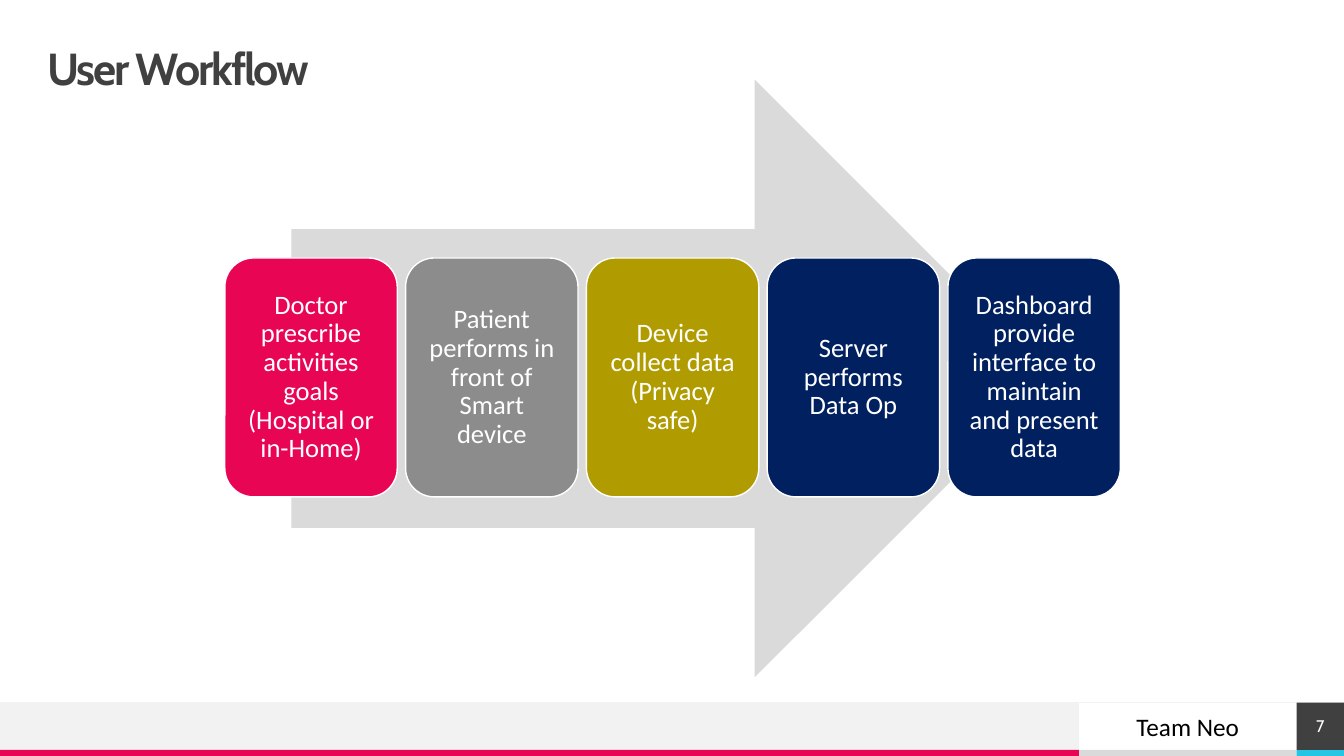
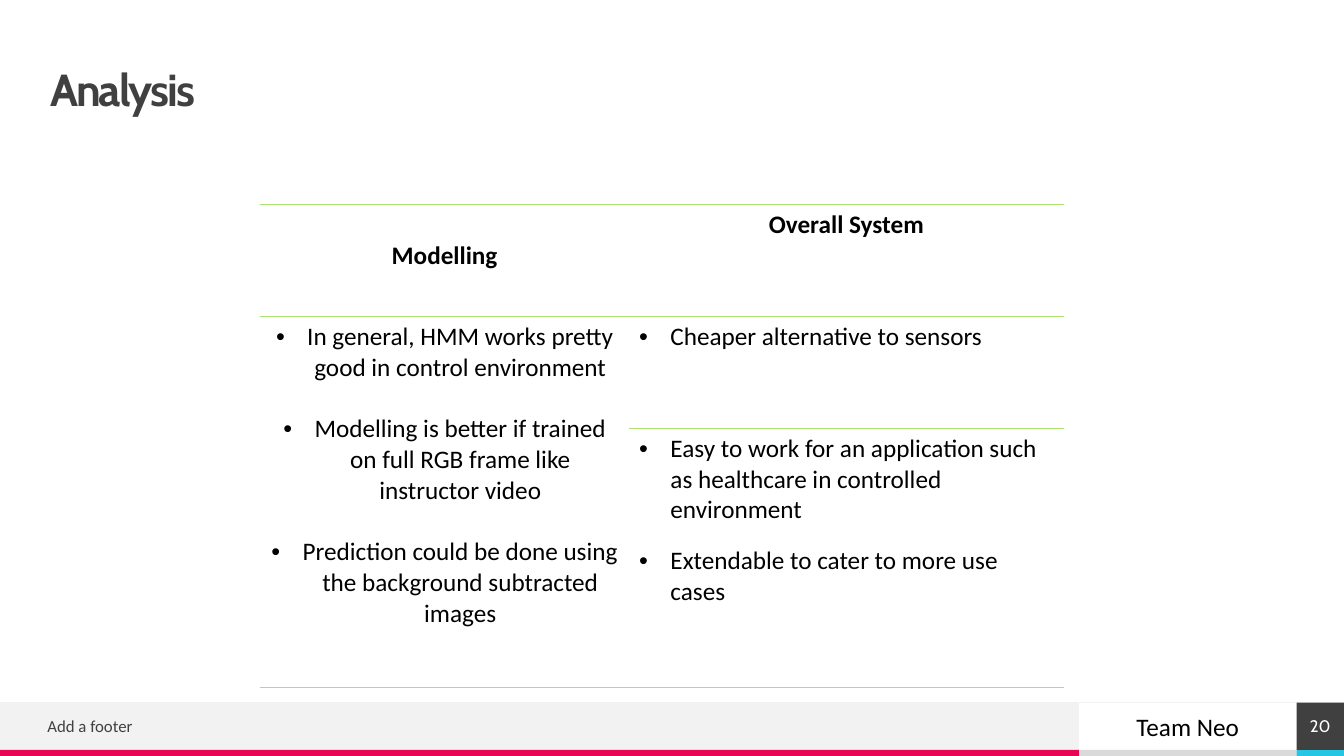
from lxml.etree import SubElement
from pptx import Presentation
from pptx.dml.color import RGBColor
from pptx.enum.shapes import MSO_CONNECTOR, MSO_SHAPE
from pptx.enum.text import MSO_ANCHOR, PP_ALIGN
from pptx.oxml import parse_xml
from pptx.oxml.ns import nsdecls, qn
from pptx.util import Inches, Pt

COLORS = {
    "white": "FFFFFF", "black": "000000", "dark": "404040", "band": "F2F2F2",
    "silver": "DADADA", "pink": "E80554", "cyan": "25C6E3", "grey": "8C8C8C",
    "olive": "B09C00", "navy": "002060", "rule": "A9E26F",
}
BODY_FONT, HEAD_FONT = "Calibri", "Cabin"

TEAM = "Team Neo"
WORKFLOW = {"title": "User Workflow", "title_at": (0.47, 0.47), "number": "7"}
STAGES = [
    ("Doctor prescribe activities goals (Hospital or in-Home)", "pink"),
    ("Patient performs in front of Smart device", "grey"),
    ("Device collect data (Privacy safe)", "olive"),
    ("Server performs Data Op", "navy"),
    ("Dashboard provide interface to maintain and present data", "navy"),
]
ANALYSIS = {"title": "Analysis", "title_at": (0.5, 0.68), "number": "20",
            "footer": "Add a footer"}
HEADERS = ["Modelling", "Overall System"]
MODELLING = [
    "In general, HMM works pretty good in control environment",
    "Modelling is better if trained on full RGB frame like instructor video",
    "Prediction could be done using the background subtracted images",
]
SYSTEM = [
    "Cheaper alternative to sensors",
    "Easy to work for an application such as healthcare in controlled environment",
    "Extendable to cater to more use cases",
]

WIDTH, HEIGHT = 13.33, 7.5
UNIT = 0.47                     # margin, band height and number square
STRIP = 0.06
BAND_TOP = HEIGHT - STRIP - UNIT
BAND_END = 10.7
NUMBER_LEFT = WIDTH - UNIT
STAGE = {"left": 2.23, "top": 2.56, "width": 1.71, "height": 2.37, "pitch": 1.793}
TABLE_AT = (2.58, 2.03)
COLUMNS = [3.66, 4.31]
ROWS = [1.11, 1.11, 1.11, 1.46]
LINE = 22                       # points, one line of 18 pt body text
INDENT = 0.31


def color(name):
    return RGBColor.from_string(COLORS[name])


def set_margins(target, inches):
    for side in ("left", "right", "top", "bottom"):
        setattr(target, f"margin_{side}", Inches(inches))


def write(para, text, size, font=BODY_FONT, ink="black", bold=False,
          align=PP_ALIGN.LEFT, spacing=1.0):
    para.alignment, para.line_spacing = align, spacing
    span = para.add_run()
    span.text = text
    formats = {"size": Pt(size), "name": font, "bold": bold}
    for name, value in formats.items():
        setattr(span.font, name, value)
    span.font.color.rgb = color(ink)
    return span


def fill_frame(shape, text, size, margin=0, **style):
    frame = shape.text_frame
    frame.word_wrap = True
    frame.vertical_anchor = MSO_ANCHOR.MIDDLE
    set_margins(frame, margin)
    return write(frame.paragraphs[0], text, size, **style)


def add_block(page, left, top, width, height, fill, kind=MSO_SHAPE.RECTANGLE, line=None):
    shape = page.shapes.add_shape(kind, *map(Inches, (left, top, width, height)))
    shape.shadow.inherit = False
    shape.fill.solid()
    shape.fill.fore_color.rgb = color(fill)
    if line:
        shape.line.color.rgb = color(line)
        shape.line.width = Pt(1)
    else:
        shape.line.fill.background()
    return shape


def add_text(page, left, top, width, height, text, size, **style):
    box = page.shapes.add_textbox(*map(Inches, (left, top, width, height)))
    return fill_frame(box, text, size, **style)


def add_page(deck, content):
    """Add a slide with the shared bands, title, footer and number."""
    page = deck.slides.add_slide(deck.slide_layouts[6])
    team_width = NUMBER_LEFT - BAND_END
    team = add_block(page, BAND_END, BAND_TOP, team_width, UNIT, "white")
    fill_frame(team, TEAM, 18, align=PP_ALIGN.CENTER)
    add_block(page, 0, BAND_TOP, BAND_END, UNIT, "band")
    for left, width, fill in [(BAND_END, team_width, "silver"), (0, BAND_END, "pink"),
                              (NUMBER_LEFT, UNIT, "cyan")]:
        add_block(page, left, HEIGHT - STRIP, width, STRIP, fill)

    edge = page.shapes.add_connector(MSO_CONNECTOR.STRAIGHT, Inches(WIDTH), Inches(BAND_TOP),
                                     0, Inches(BAND_TOP))
    edge.line.color.rgb = color("band")
    edge.line.width = Pt(0.5)
    SubElement(edge._element.spPr, qn("a:effectLst"))

    title = add_text(page, *content["title_at"], WIDTH - 2 * UNIT, UNIT, content["title"], 32,
                     font=HEAD_FONT, ink="dark", bold=True, spacing=0.9)
    title._r.get_or_add_rPr().set("spc", "-150")
    if "footer" in content:
        add_text(page, UNIT, 7.04, 6.19, 0.32, content["footer"], 12, ink="dark")
    number = add_block(page, NUMBER_LEFT, BAND_TOP, UNIT, UNIT, "dark")
    fill_frame(number, content["number"], 12, font=HEAD_FONT, ink="white",
               align=PP_ALIGN.CENTER)
    return page


def add_workflow(page):
    add_block(page, 2.89, 0.79, 7.56, 5.93, "silver", MSO_SHAPE.RIGHT_ARROW)
    for index, (text, fill) in enumerate(STAGES):
        card = add_block(page, STAGE["left"] + index * STAGE["pitch"], STAGE["top"],
                         STAGE["width"], STAGE["height"], fill,
                         MSO_SHAPE.ROUNDED_RECTANGLE, "white")
        fill_frame(card, text, 19, margin=0.08, ink="white", align=PP_ALIGN.CENTER,
                   spacing=0.9)


def add_bullet(para):
    props = para._p.get_or_add_pPr()
    props.set("marL", str(Inches(INDENT)))
    props.set("indent", str(-Inches(INDENT)))
    SubElement(props, qn("a:buFont"), typeface="Arial")
    SubElement(props, qn("a:buChar"), char="•")


def set_rules(cell, sides):
    """Draw the cell's top (T) and bottom (B) rules named in sides."""
    props = cell._tc.get_or_add_tcPr()
    for index, side in enumerate(sides):
        props.insert(index, parse_xml(
            f'<a:ln{side} {nsdecls("a")} w="{Pt(1)}"><a:solidFill>'
            f'<a:srgbClr val="{COLORS["rule"]}"/></a:solidFill></a:ln{side}>'))


def fill_bullets(cell, texts, align):
    frame = cell.text_frame
    for index, text in enumerate(texts):
        para = frame.add_paragraph() if index else frame.paragraphs[0]
        write(para, text, 18, align=align)
        if index:
            para.space_before = Pt(LINE)
        add_bullet(para)


def add_analysis(page):
    frame = page.shapes.add_table(len(ROWS), len(COLUMNS), *map(
        Inches, (*TABLE_AT, sum(COLUMNS), sum(ROWS))))
    table = frame.table
    table.first_row = table.horz_banding = False
    style = table._tbl.tblPr.find(qn("a:tableStyleId"))
    style.text = "{2D5ABB26-0587-4C30-8999-92F81FD0307C}"
    for parts, name, lengths in [(table.columns, "width", COLUMNS),
                                 (table.rows, "height", ROWS)]:
        for part, length in zip(parts, lengths):
            setattr(part, name, Inches(length))

    table.cell(1, 0).merge(table.cell(len(ROWS) - 1, 0))
    rules = {0: "TB", 1: "T", len(ROWS) - 1: "B"}
    for row in range(len(ROWS)):
        for column in range(len(COLUMNS)):
            cell = table.cell(row, column)
            cell.fill.background()
            merged = column == 0 and row == 1
            set_rules(cell, "TB" if merged else rules.get(row, ""))

    for column, text in enumerate(HEADERS):
        write(table.cell(0, column).text_frame.paragraphs[0], text, 18, bold=True,
              align=PP_ALIGN.CENTER)
    table.cell(0, 0).margin_top = Inches(0.05) + Pt(LINE)
    fill_bullets(table.cell(1, 0), MODELLING, PP_ALIGN.CENTER)
    for row, text in enumerate(SYSTEM, start=1):
        fill_bullets(table.cell(row, 1), [text], PP_ALIGN.LEFT)


def main():
    deck = Presentation()
    deck.slide_width, deck.slide_height = Inches(WIDTH), Inches(HEIGHT)
    add_workflow(add_page(deck, WORKFLOW))
    add_analysis(add_page(deck, ANALYSIS))
    deck.save("out.pptx")


if __name__ == "__main__":
    main()
